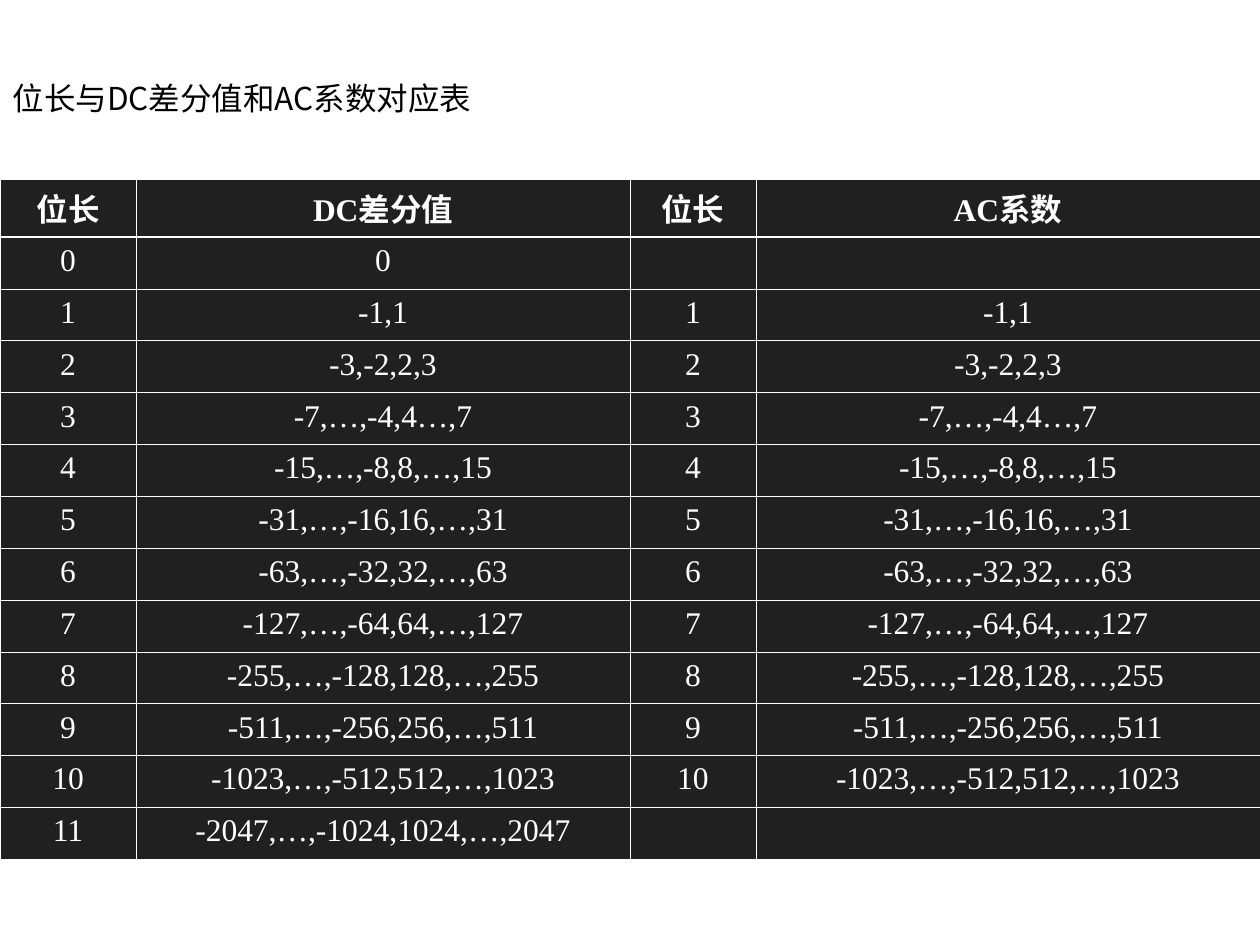
from typing import NamedTuple

from lxml import etree
from pptx import Presentation
from pptx.dml.color import RGBColor
from pptx.enum.text import MSO_ANCHOR, MSO_AUTO_SIZE, PP_ALIGN
from pptx.oxml.ns import qn
from pptx.util import Inches, Pt

LEFT, CENTER = PP_ALIGN.LEFT, PP_ALIGN.CENTER
TOP = MSO_ANCHOR.TOP
NO_FIT = MSO_AUTO_SIZE.NONE
TITLE_ONLY = 5

SANS, SERIF = "Noto Sans CJK SC", "Times New Roman"
BLACK, WHITE, DARK = "000000", "FFFFFF", "202020"
THIN, THICK = 0.45, 1.47
COLUMN_WIDTHS = [1.08, 3.92, 1, 4]


class Row(NamedTuple):
    dc_length: str
    dc_values: str
    ac_length: str
    ac_values: str


HEADER = Row("位长", "DC差分值", "位长", "AC系数")
SHARED_VALUES = [
    "-1,1",
    "-3,-2,2,3",
    "-7,…,-4,4…,7",
    "-15,…,-8,8,…,15",
    "-31,…,-16,16,…,31",
    "-63,…,-32,32,…,63",
    "-127,…,-64,64,…,127",
    "-255,…,-128,128,…,255",
    "-511,…,-256,256,…,511",
    "-1023,…,-512,512,…,1023",
]
ROWS = [
    HEADER,
    Row("0", "0", "", ""),
    *(Row(str(n), v, str(n), v) for n, v in enumerate(SHARED_VALUES, 1)),
    Row("11", "-2047,…,-1024,1024,…,2047", "", ""),
]


def rgb(color: str) -> RGBColor:
    return RGBColor.from_string(color)


def write(tf, text: str, *, font: str, color: str, align, size: float = 18,
          bold: bool = False) -> None:
    p = tf.paragraphs[0]
    p.alignment = align
    p.space_before = Pt(0)
    if not text:
        p.font.size = Pt(size)
        return
    r = p.add_run()
    r.text = text
    r.font.size = Pt(size)
    r.font.bold = bold
    r.font.color.rgb = rgb(color)
    r.font.name = font
    etree.SubElement(r.font._element, qn("a:ea"), typeface=SANS)


def set_borders(cell, top: float, bottom: float) -> None:
    """Draw white cell edges; the side edges are thin."""
    tc_pr = cell._tc.get_or_add_tcPr()
    edges = [("a:lnL", THIN), ("a:lnR", THIN), ("a:lnT", top), ("a:lnB", bottom)]
    for i, (tag, width) in enumerate(edges):
        ln = etree.Element(qn(tag), w=str(int(Pt(width))))
        fill = etree.SubElement(ln, qn("a:solidFill"))
        etree.SubElement(fill, qn("a:srgbClr"), val=WHITE)
        tc_pr.insert(i, ln)


def add_value_table(s, rows: list[Row]) -> None:
    table = s.shapes.add_table(len(rows), len(COLUMN_WIDTHS), Inches(0), Inches(1.42),
                               Inches(10), Inches(5.35)).table
    for column, width in zip(table.columns, COLUMN_WIDTHS):
        column.width = Inches(width)
    for i, row in enumerate(rows):
        for j, text in enumerate(row):
            cell = table.cell(i, j)
            cell.fill.solid()
            cell.fill.fore_color.rgb = rgb(DARK)
            set_borders(cell, top=THICK if i == 1 else THIN,
                        bottom=THICK if i == 0 else THIN)
            write(cell.text_frame, text, font=SERIF, color=WHITE, align=CENTER,
                  bold=i == 0)


def add_title(s, text: str) -> None:
    title = s.shapes.title
    title.left, title.top = Inches(0), Inches(0.58)
    title.width, title.height = Inches(9.08), Inches(0.67)
    tf = title.text_frame
    tf.word_wrap = True
    tf.auto_size = NO_FIT
    tf.vertical_anchor = TOP
    write(tf, text, font=SANS, color=BLACK, align=LEFT)


def main() -> None:
    prs = Presentation()
    prs.slide_width, prs.slide_height = Inches(10), Inches(7.5)
    s = prs.slides.add_slide(prs.slide_layouts[TITLE_ONLY])
    add_title(s, "位长与DC差分值和AC系数对应表")
    add_value_table(s, ROWS)
    prs.save("out.pptx")


if __name__ == "__main__":
    main()
